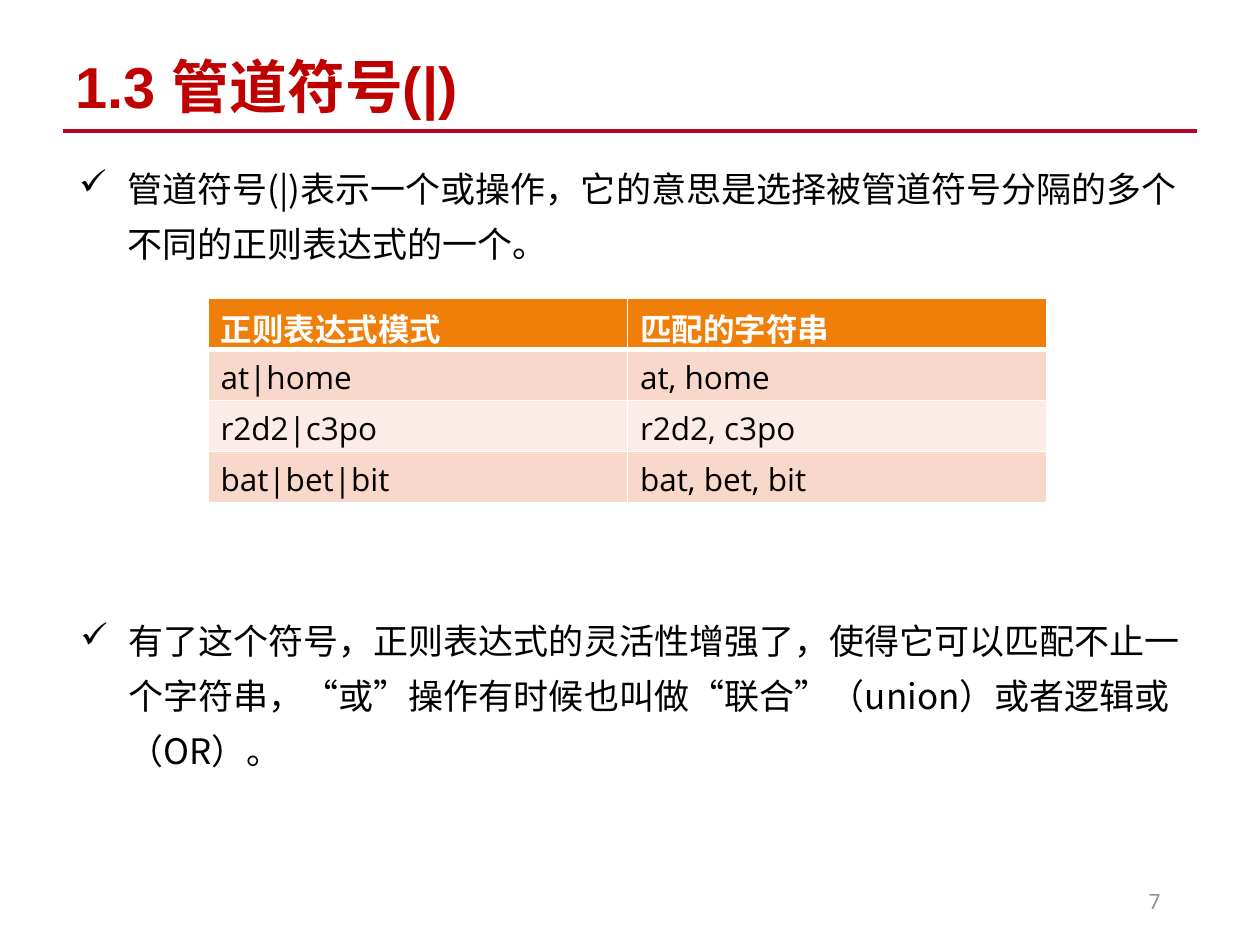
from lxml import etree
from pptx import Presentation
from pptx.dml.color import RGBColor
from pptx.enum.shapes import MSO_CONNECTOR
from pptx.enum.text import MSO_ANCHOR, MSO_AUTO_SIZE, PP_ALIGN
from pptx.oxml.ns import qn
from pptx.util import Inches, Pt

STRAIGHT = MSO_CONNECTOR.STRAIGHT
MIDDLE, TOP = MSO_ANCHOR.MIDDLE, MSO_ANCHOR.TOP
LEFT, RIGHT = PP_ALIGN.LEFT, PP_ALIGN.RIGHT
NO_FIT, GROW = MSO_AUTO_SIZE.NONE, MSO_AUTO_SIZE.SHAPE_TO_FIT_TEXT
CJK, SANS, HEADING = "Noto Sans CJK SC", "Open Sans", "Arial"
BLACK, WHITE = "000000", "FFFFFF"

TITLE = "1.3 管道符号(|)"
PAGE_NUMBER = "7"
BULLETS = [
    ((0.53, 1.18, 9.01, 0.98),
     "管道符号(|)表示一个或操作，它的意思是选择被管道符号分隔的多个不同的正则表达式的一个。"),
    ((0.54, 4.77, 9.01, 1.41),
     "有了这个符号，正则表达式的灵活性增强了，使得它可以匹配不止一个字符串，"
     "“或”操作有时候也叫做“联合”（union）或者逻辑或（OR）。"),
]
PATTERNS = [
    ("正则表达式模式", "匹配的字符串"),
    ("at|home", "at, home"),
    ("r2d2|c3po", "r2d2, c3po"),
    ("bat|bet|bit", "bat, bet, bit"),
]
HEADER_FILL, BAND_FILLS = "F07F09", ("FCECE7", "F9D8CC")
COLUMN_WIDTH, ROW_HEIGHT = 3.33, 0.405


def color(value):
    """Turn a hex string into a colour."""
    return RGBColor.from_string(value)


def write(frame, text, size, font, ink, bold=False, align=LEFT, spacing=1.0):
    """Put one formatted paragraph in a text frame and return it."""
    para = frame.paragraphs[0]
    para.text = text
    para.alignment, para.line_spacing = align, spacing
    para.font.size, para.font.name, para.font.bold = Pt(size), font, bold
    para.font.color.rgb = color(ink)
    for span in para.runs:
        latin = span.font._element.get_or_add_rPr() if hasattr(
            span.font._element, "get_or_add_rPr") else span._r.get_or_add_rPr()
        etree.SubElement(latin, qn("a:ea"), typeface=CJK)
    return para


def add_text_box(page, area, anchor=TOP, fit=NO_FIT):
    """Add a wrapping text box and return its frame."""
    frame = page.shapes.add_textbox(*map(Inches, area)).text_frame
    frame.word_wrap, frame.auto_size = True, fit
    frame.vertical_anchor = anchor
    return frame


def add_check_mark(para):
    """Give a paragraph a hanging check-mark bullet."""
    props = para._p.get_or_add_pPr()
    props.set("marL", str(Inches(0.38)))
    props.set("indent", str(-Inches(0.38)))
    mark = etree.Element(qn("a:buChar"), char="✓")
    tabs = etree.Element(qn("a:tabLst"))
    etree.SubElement(tabs, qn("a:tab"), pos=str(Inches(0.5)), algn="l")
    place = props.index(props.find(qn("a:lnSpc"))) + 1
    props[place:place] = [mark, tabs]


def add_borders(cell, bottom_width):
    """Draw white lines round a cell."""
    props = cell._tc.get_or_add_tcPr()
    widths = {"lnL": 1, "lnR": 1, "lnT": 1, "lnB": bottom_width}
    for place, (side, width) in enumerate(widths.items()):
        line = etree.Element(qn(f"a:{side}"), w=str(Pt(width)))
        fill = etree.SubElement(line, qn("a:solidFill"))
        etree.SubElement(fill, qn("a:srgbClr"), val=WHITE)
        props.insert(place, line)


def add_title(page):
    """Format the title and draw the rule below it."""
    title = page.shapes.title
    title.left, title.top, title.width, title.height = map(
        Inches, (0.5, 0.4, 9, 0.62))
    title.text_frame.vertical_anchor = MIDDLE
    title.text_frame.auto_size = NO_FIT
    write(title.text_frame, TITLE, 33, HEADING, "C00000", True, spacing=0.9)
    rule = page.shapes.add_connector(
        STRAIGHT, *map(Inches, (0.5, 1.04, 9.5, 1.04)))
    rule.line.color.rgb, rule.line.width = color("B30728"), Pt(2)
    etree.SubElement(rule._element.spPr, qn("a:effectLst"))


def add_pattern_table(page):
    """Add the table of patterns and matching strings."""
    rows, columns = len(PATTERNS), len(PATTERNS[0])
    table = page.shapes.add_table(
        rows, columns, Inches(1.65), Inches(2.37),
        Inches(COLUMN_WIDTH * columns), Inches(ROW_HEIGHT * rows)).table
    for r, texts in enumerate(PATTERNS):
        header = r == 0
        for c, text in enumerate(texts):
            cell = table.cell(r, c)
            cell.fill.solid()
            cell.fill.fore_color.rgb = color(
                HEADER_FILL if header else BAND_FILLS[r % 2])
            write(cell.text_frame, text, 18, SANS,
                  WHITE if header else BLACK, header)
            add_borders(cell, 3 if header else 1)


deck = Presentation()
deck.slide_width, deck.slide_height = Inches(10), Inches(7.5)
page = deck.slides.add_slide(deck.slide_layouts[5])
add_title(page)
for area, text in BULLETS:
    frame = add_text_box(page, area, fit=GROW)
    add_check_mark(write(frame, text, 20, CJK, BLACK, spacing=1.3))
number = add_text_box(page, (7.06, 6.95, 2.25, 0.4), MIDDLE)
write(number, PAGE_NUMBER, 12, SANS, "8C8C8C", align=RIGHT)
add_pattern_table(page)
deck.save("out.pptx")
